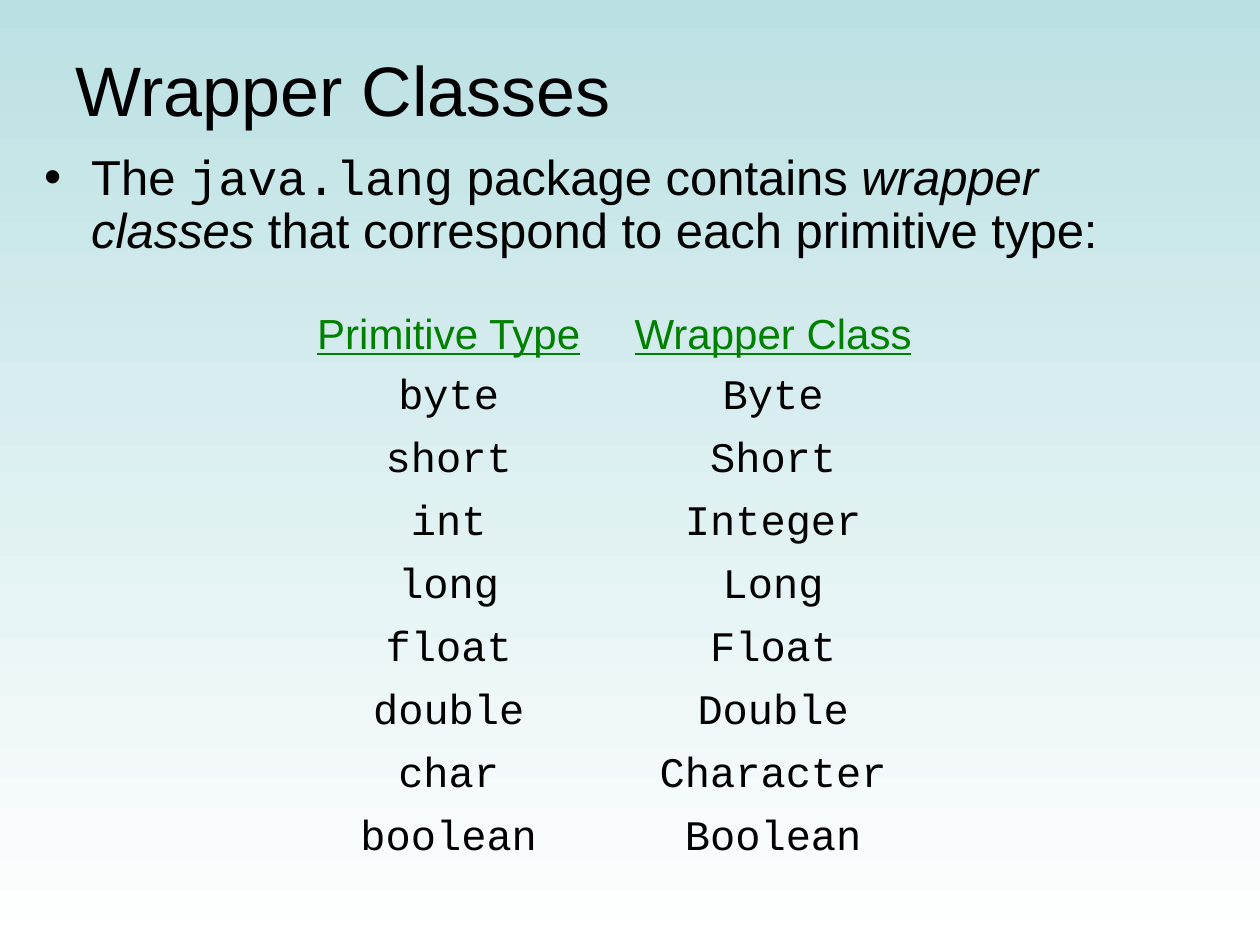
from lxml import etree
from pptx import Presentation
from pptx.dml.color import RGBColor
from pptx.enum.text import MSO_ANCHOR, PP_ALIGN
from pptx.oxml.ns import qn
from pptx.util import Cm, Pt

CENTER = PP_ALIGN.CENTER
MIDDLE = MSO_ANCHOR.MIDDLE
SANS, MONO = "Arial", "Courier New"
NO_GRID_STYLE = "{2D5ABB26-0587-4C30-8999-92F81FD0307C}"
COLORS = {"text": "000000", "header": "008000", "top": "BBE0E3", "bottom": "FFFFFF"}


def add_run(p, text, size, font=SANS, color="text", italic=False, underline=False):
    r = p.add_run()
    r.text = text
    r.font.size = Pt(size)
    r.font.name = font
    r.font.italic = italic
    r.font.underline = underline
    r.font.color.rgb = RGBColor.from_string(COLORS[color])


def add_text_box(s, left, top, width, height):
    tf = s.shapes.add_textbox(Cm(left), Cm(top), Cm(width), Cm(height)).text_frame
    tf.word_wrap = True
    return tf


prs = Presentation()
prs.slide_width, prs.slide_height = Cm(25.4), Cm(19.05)
s = prs.slides.add_slide(prs.slide_layouts[6])

fill = s.background.fill
fill.gradient()
fill.gradient_angle = 270
for stop, name, position in zip(fill.gradient_stops, ("top", "bottom"), (0, 1)):
    stop.color.rgb = RGBColor.from_string(COLORS[name])
    stop.position = position

tf = add_text_box(s, 1.27, 0.2, 23.06, 3.18)
tf.vertical_anchor = MIDDLE
add_run(tf.paragraphs[0], "Wrapper Classes", 40)

tf = add_text_box(s, 0.64, 2.97, 23.93, 2.95)
p = tf.paragraphs[0]
p.line_spacing = 0.9
pPr = p._p.get_or_add_pPr()
pPr.set("marL", str(Cm(0.95)))
pPr.set("indent", str(Cm(-0.95)))
etree.SubElement(pPr, qn("a:buFont")).set("typeface", SANS)
etree.SubElement(pPr, qn("a:buChar")).set("char", "•")
for text, font, italic in (
    ("The ", SANS, False),
    ("java.lang", MONO, False),
    (" package contains ", SANS, False),
    ("wrapper classes", SANS, True),
    (" that correspond to each primitive type:", SANS, False),
):
    add_run(p, text, 28, font, italic=italic)

rows = [
    ("Primitive Type", "Wrapper Class"),
    ("byte", "Byte"),
    ("short", "Short"),
    ("int", "Integer"),
    ("long", "Long"),
    ("float", "Float"),
    ("double", "Double"),
    ("char", "Character"),
    ("boolean", "Boolean"),
]
sp = s.shapes.add_table(len(rows), 2, Cm(5.72), Cm(6.15), Cm(13.08), Cm(11.43))
table = sp.table
table.first_row = False
table.horz_banding = False
table._tbl.tblPr.find(qn("a:tableStyleId")).text = NO_GRID_STYLE
for column, width in zip(table.columns, (6.65, 6.43)):
    column.width = Cm(width)
for i, row in enumerate(rows):
    table.rows[i].height = Cm(1.27)
    for j, text in enumerate(row):
        cell = table.cell(i, j)
        cell.fill.background()
        p = cell.text_frame.paragraphs[0]
        p.alignment = CENTER
        if i == 0:
            add_run(p, text, 24, color="header", underline=True)
        else:
            add_run(p, text, 24, MONO)

prs.save("out.pptx")
